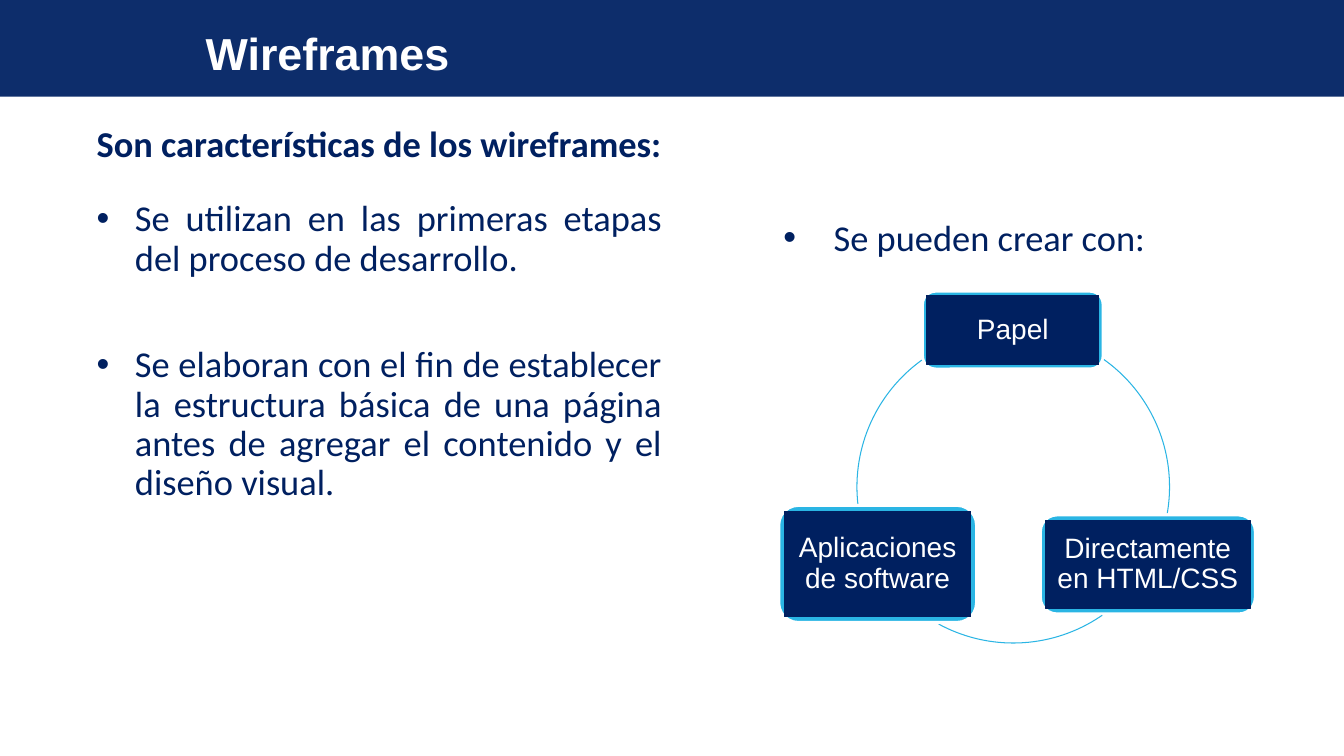
import pptx
import pptx.util
from pptx.dml.color import RGBColor
from pptx.enum.shapes import MSO_SHAPE
from pptx.enum.text import MSO_ANCHOR, PP_ALIGN
from pptx.oxml import parse_xml
from pptx.oxml.ns import nsdecls
from pptx.util import Inches

BAND_BLUE = RGBColor(0x0D, 0x2D, 0x6B)
NAVY = RGBColor(0x00, 0x20, 0x60)
CYAN = RGBColor(0x2A, 0xB5, 0xE4)
WHITE = RGBColor(0xFF, 0xFF, 0xFF)


def add_block(preset, left, top, width, height, fill, line=None, line_width=0.75):
    """Add a preset shape; None for fill or line leaves it out."""
    shape = slide.shapes.add_shape(
        preset, Inches(left), Inches(top), Inches(width), Inches(height))
    shape.shadow.inherit = False
    if fill is None:
        shape.fill.background()
    else:
        shape.fill.solid()
        shape.fill.fore_color.rgb = fill
    if line is None:
        shape.line.fill.background()
    else:
        shape.line.color.rgb = line
        shape.line.width = pptx.util.Pt(line_width)
    return shape


def write_paragraph(paragraph, text, size, font, color, alignment, bold=False):
    paragraph.alignment = alignment
    paragraph.line_spacing = 0.9
    run = paragraph.add_run()
    run.text = text
    run.font.size = pptx.util.Pt(size)
    run.font.name = font
    run.font.bold = bold
    run.font.color.rgb = color


presentation = pptx.Presentation()
presentation.slide_width = Inches(13.33)
presentation.slide_height = Inches(7.5)
slide = presentation.slides.add_slide(presentation.slide_layouts[5])

# Header band, placed behind the title
title = slide.shapes.title
title.left, title.top = Inches(1.94), Inches(0.15)
title.width, title.height = Inches(10.74), Inches(0.81)
title.text_frame.vertical_anchor = MSO_ANCHOR.MIDDLE
write_paragraph(title.text_frame.paragraphs[0], "Wireframes", 32, "Arial", WHITE,
                PP_ALIGN.LEFT, bold=True)
band = add_block(MSO_SHAPE.RECTANGLE, 0, 0, 13.33, 0.96, BAND_BLUE)
title.element.addprevious(band.element)

# Text boxes: place, alignment, left margin, bullet hang, space before each paragraph
text_boxes = [
    ((0.74, 1.2, 7.05, 0.49), PP_ALIGN.LEFT, 0.12, 0, [
        (0, "Son características de los wireframes:")]),
    ((0.74, 1.94, 5.93, 3.61), PP_ALIGN.JUSTIFY, 0.5, 0.38, [
        (10, "Se utilizan en las primeras etapas del proceso de desarrollo."),
        (48, "Se elaboran con el fin de establecer la estructura básica de una página "
             "antes de agregar el contenido y el diseño visual.")]),
    ((7.55, 2.13, 4.51, 0.49), PP_ALIGN.JUSTIFY, 0.62, 0.5, [
        (0, "Se pueden crear con:")]),
]
for place, alignment, margin, hang, paragraphs in text_boxes:
    text_box = slide.shapes.add_textbox(*map(Inches, place))
    text_frame = text_box.text_frame
    text_frame.word_wrap = True
    for index, (space_before, text) in enumerate(paragraphs):
        paragraph = text_frame.add_paragraph() if index else text_frame.paragraphs[0]
        write_paragraph(paragraph, text, 26, "Calibri", NAVY, alignment, bold=not hang)
        paragraph.space_before = pptx.util.Pt(space_before)
        properties = paragraph._p.get_or_add_pPr()
        properties.set("marL", str(Inches(margin)))
        properties.set("indent", str(-Inches(hang)))
        if hang:
            properties.append(parse_xml(
                f'<a:buFont {nsdecls("a")} typeface="Arial"/>'))
            properties.append(parse_xml(f'<a:buChar {nsdecls("a")} char="•"/>'))

# Cycle: each box with its cyan frame, then the arc that leads to the next box
cycle_steps = [
    ("Papel", (9.19, 2.93, 1.71, 0.69), 0.04, (305.5, 9.7)),
    ("Directamente en HTML/CSS", (10.37, 5.16, 2.03, 0.88), 0.05, (55.3, 118.5)),
    ("Aplicaciones de software", (7.78, 5.07, 1.85, 1.05), 0.055, (173.7, 234.2)),
]
for text, (left, top, width, height), border, angles in cycle_steps:
    add_block(MSO_SHAPE.ROUNDED_RECTANGLE, left - border, top - border,
              width + 2 * border, height + 2 * border, CYAN, WHITE, 2)
    box = add_block(MSO_SHAPE.RECTANGLE, left, top, width, height, NAVY, NAVY)
    text_frame = box.text_frame
    text_frame.word_wrap = True
    text_frame.vertical_anchor = MSO_ANCHOR.MIDDLE
    text_frame.margin_left = text_frame.margin_right = Inches(0.08)
    text_frame.margin_top = text_frame.margin_bottom = Inches(0.08)
    write_paragraph(text_frame.paragraphs[0], text, 20, "Arial", WHITE, PP_ALIGN.CENTER)
    arc = add_block(MSO_SHAPE.ARC, 8.5, 3.28, 3.1, 3.1, None, CYAN)
    for index, degrees in enumerate(angles):
        arc.adjustments[index] = degrees * 0.6  # 60000 units a degree, scaled by 100000

presentation.save("out.pptx")
